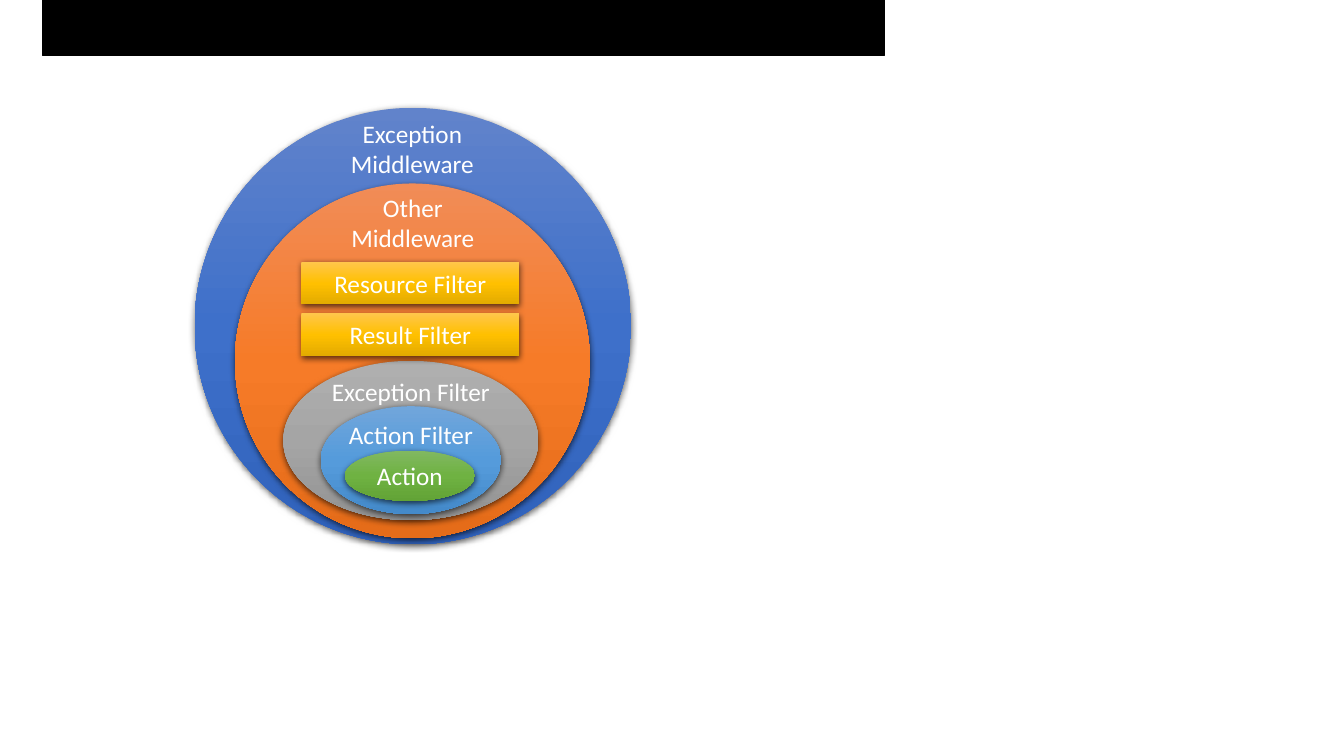
from dataclasses import dataclass

from lxml import etree
from pptx import Presentation
from pptx.dml.color import RGBColor
from pptx.enum.shapes import MSO_SHAPE
from pptx.enum.text import MSO_ANCHOR, MSO_AUTO_SIZE, PP_ALIGN
from pptx.oxml.ns import qn
from pptx.util import Inches, Pt

OVAL, RECTANGLE = MSO_SHAPE.OVAL, MSO_SHAPE.RECTANGLE
CENTER, MIDDLE, TOP = PP_ALIGN.CENTER, MSO_ANCHOR.MIDDLE, MSO_ANCHOR.TOP
FIT_TEXT = MSO_AUTO_SIZE.SHAPE_TO_FIT_TEXT


@dataclass(frozen=True)
class Theme:
    font: str = "Calibri"
    size: int = 18
    text: str = "FFFFFF"
    banner: str = "000000"
    shadow: str = "000000"
    # Gradients run from top to bottom
    blue: tuple = ("6183CB", "3E70CA", "3062BB")
    orange: tuple = ("F18C57", "F67B28", "E56C19")
    gray: tuple = ("AFAFAF", "A5A5A5", "939393")
    sky: tuple = ("71A6DB", "559BDB", "448ACA")
    green: tuple = ("81B861", "6FB242", "62A336")
    gold: tuple = ("FFC64B", "FFC000", "E3AB00")


class Diagram:
    def __init__(self, slide, theme):
        self.slide, self.theme = slide, theme

    def set_text(self, frame, text, anchor):
        frame.text = text
        frame.vertical_anchor = anchor
        for paragraph in frame.paragraphs:
            paragraph.alignment = CENTER
            for run in paragraph.runs:
                run.font.name = self.theme.font
                run.font.size = Pt(self.theme.size)
                run.font.color.rgb = RGBColor.from_string(self.theme.text)

    def banner(self, left, top, width, height):
        bar = self.slide.shapes.add_shape(
            RECTANGLE, Inches(left), Inches(top), Inches(width), Inches(height))
        bar.shadow.inherit = False
        bar.fill.solid()
        bar.fill.fore_color.rgb = RGBColor.from_string(self.theme.banner)
        bar.line.color.rgb = RGBColor.from_string(self.theme.banner)
        bar.line.width = Pt(1)

    def layer(self, kind, left, top, width, height, colors, text=""):
        shape = self.slide.shapes.add_shape(
            kind, Inches(left), Inches(top), Inches(width), Inches(height))
        shape.line.fill.background()
        self.shade(shape, colors)
        self.cast_shadow(shape)
        if text:
            self.set_text(shape.text_frame, text, MIDDLE)

    def shade(self, shape, colors):
        shape.fill.gradient()
        shape.fill.gradient_angle = 270
        stops = shape._element.spPr.find(".//" + qn("a:gsLst"))
        for stop in list(stops):
            stops.remove(stop)
        for index, color in enumerate(colors):
            stop = etree.SubElement(stops, qn("a:gs"), pos=str(index * 50000))
            etree.SubElement(stop, qn("a:srgbClr"), val=color)

    def cast_shadow(self, shape):
        shape.shadow.inherit = False
        effects = shape._element.spPr.find(qn("a:effectLst"))
        outer = etree.SubElement(
            effects, qn("a:outerShdw"), blurRad=str(Pt(4.5)), dist=str(Pt(1.5)),
            dir="5400000", algn="ctr", rotWithShape="0")
        color = etree.SubElement(outer, qn("a:srgbClr"), val=self.theme.shadow)
        etree.SubElement(color, qn("a:alpha"), val="63000")

    def label(self, left, top, width, height, text):
        box = self.slide.shapes.add_textbox(
            Inches(left), Inches(top), Inches(width), Inches(height))
        self.set_text(box.text_frame, text, TOP)
        box.text_frame.word_wrap = False
        box.text_frame.auto_size = FIT_TEXT


presentation = Presentation()
presentation.slide_width, presentation.slide_height = Inches(13.33), Inches(7.5)
theme = Theme()
diagram = Diagram(
    presentation.slides.add_slide(presentation.slide_layouts[6]), theme)

# Top banner
diagram.banner(0.42, 0, 8.35, 0.55)

# Nested layers, from the outermost inwards
layers = [
    (1.93, 1.07, 4.33, 4.33, theme.blue),
    (2.33, 1.82, 3.52, 3.52, theme.orange),
    (2.81, 3.58, 2.53, 1.58, theme.gray),
    (3.18, 4.03, 1.79, 1.07, theme.sky),
    (3.42, 4.47, 1.29, 0.5, theme.green, "Action"),
]
for layer in layers:
    diagram.layer(OVAL, *layer)

# Filters around the inner layers
for row, name in enumerate(("Resource Filter", "Result Filter")):
    diagram.layer(RECTANGLE, 2.99, 2.6 + row * 0.51, 2.16, 0.42, theme.gold, name)

# Layer names
layer_names = [
    (3.36, 1.12, 1.46, 0.71, "Exception\nMiddleware"),
    (3.38, 1.86, 1.43, 0.71, "Other\nMiddleware"),
    (3.18, 3.68, 1.79, 0.4, "Exception Filter"),
    (3.35, 4.11, 1.45, 0.4, "Action Filter"),
]
for layer_name in layer_names:
    diagram.label(*layer_name)

presentation.save("out.pptx")
